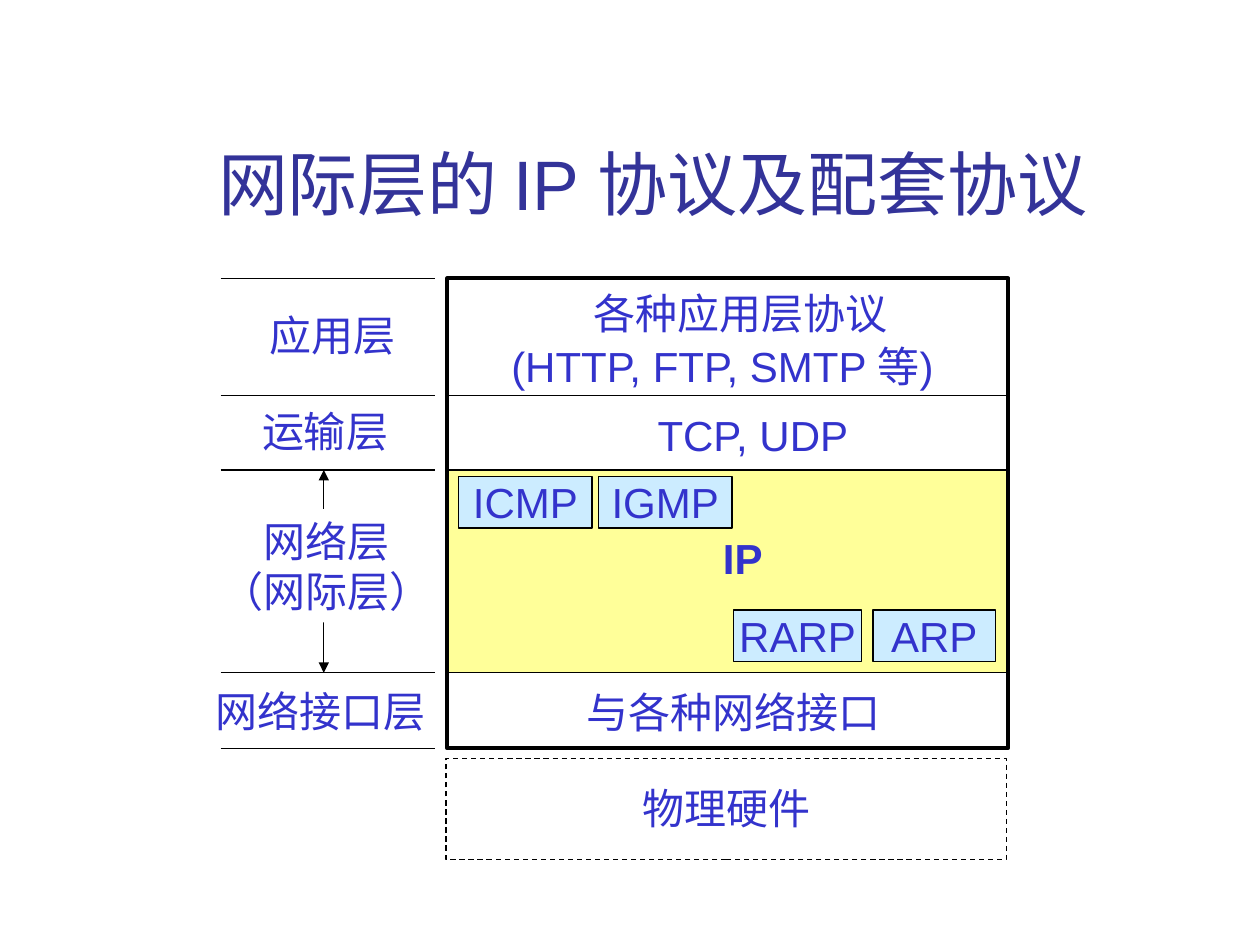
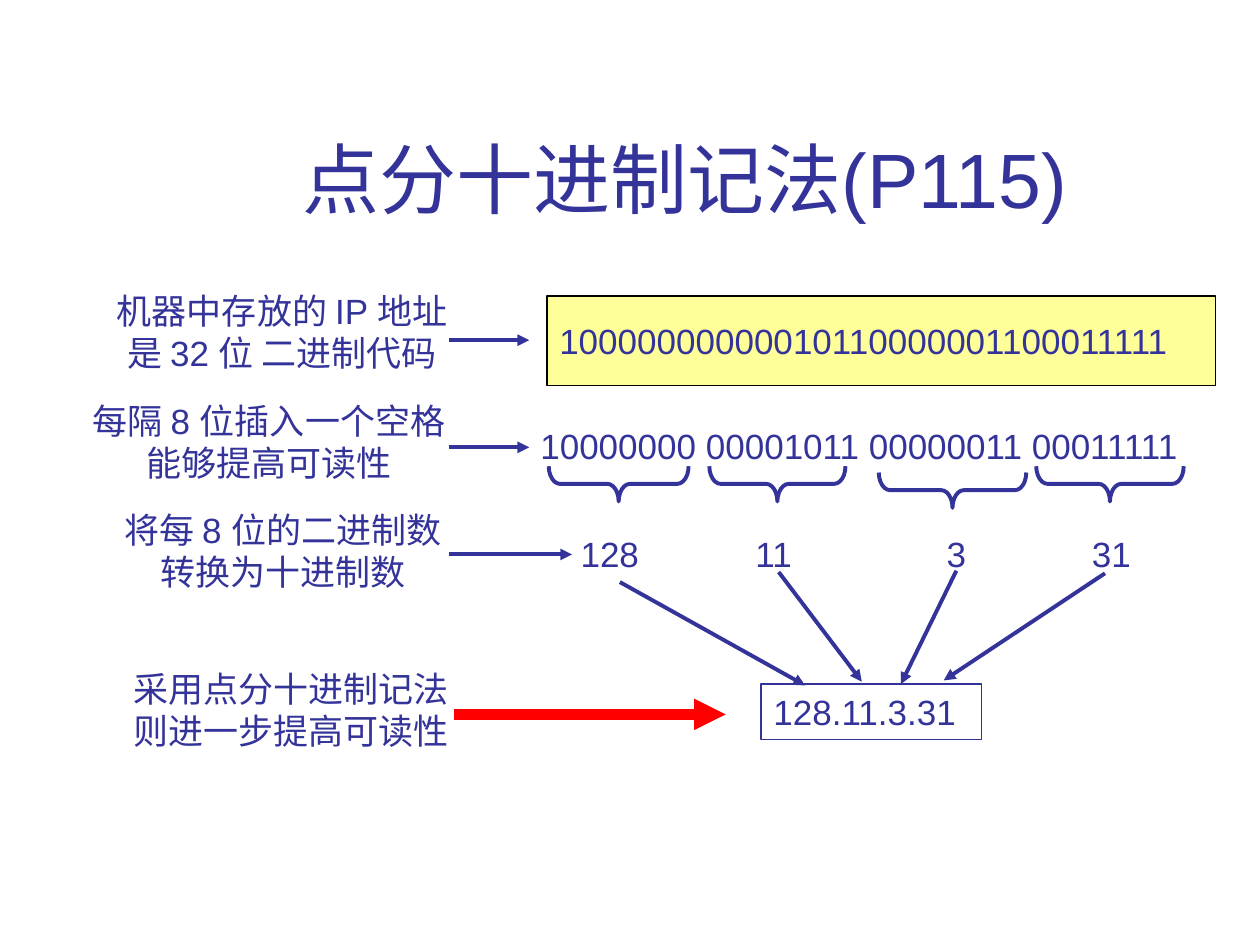
from dataclasses import dataclass

from lxml import etree
from pptx import Presentation
from pptx.dml.color import RGBColor
from pptx.enum.dml import MSO_LINE
from pptx.enum.shapes import MSO_CONNECTOR, MSO_SHAPE
from pptx.enum.text import MSO_ANCHOR, MSO_AUTO_SIZE, PP_ALIGN
from pptx.oxml.ns import qn
from pptx.util import Inches, Pt

RECT, BRACE = MSO_SHAPE.RECTANGLE, MSO_SHAPE.LEFT_BRACE
STRAIGHT, DASH = MSO_CONNECTOR.STRAIGHT, MSO_LINE.DASH
LEFT, CENTER = PP_ALIGN.LEFT, PP_ALIGN.CENTER
TOP, MIDDLE, BOTTOM = MSO_ANCHOR.TOP, MSO_ANCHOR.MIDDLE, MSO_ANCHOR.BOTTOM
GROW, FIXED = MSO_AUTO_SIZE.SHAPE_TO_FIT_TEXT, MSO_AUTO_SIZE.NONE
TITLE_ONLY = 5


@dataclass(frozen=True)
class Theme:
    """Colours, font, type sizes and line widths of the deck."""
    font: str = "Arial"
    navy: str = "333399"
    blue: str = "3333CC"
    black: str = "000000"
    white: str = "FFFFFF"
    red: str = "FF0000"
    yellow: str = "FFFF99"
    sky: str = "CCECFF"
    head: int = 40
    large: int = 44
    label: int = 24
    note: int = 20
    thin: float = 0.75
    bold: float = 2.25
    heavy: float = 6


T = Theme()


def rgb(code):
    """Turn a hex code into a colour."""
    return RGBColor.from_string(code)


def write(shape, text, size=T.note, color=T.navy, bold=False, align=CENTER,
          anchor=TOP, wrap=False, fit=FIXED):
    """Put formatted text into a shape, one paragraph for each line."""
    frame = shape.text_frame
    frame.text = text
    frame.word_wrap = wrap
    frame.auto_size = fit
    frame.vertical_anchor = anchor
    for para in frame.paragraphs:
        para.alignment = align
        for run in para.runs:
            font = run.font
            font.name, font.size, font.bold = T.font, Pt(size), bold
            font.color.rgb = rgb(color)


def note(slide, text, x, y, w, h, **form):
    """Add a text box that grows with its text."""
    box = slide.shapes.add_textbox(Inches(x), Inches(y), Inches(w), Inches(h))
    write(box, text, fit=GROW, **form)


def block(slide, x, y, w, h, kind=RECT, fill=None, line=None, width=T.thin):
    """Add a shape without shadow; no fill or line unless given."""
    shape = slide.shapes.add_shape(kind, Inches(x), Inches(y),
                                   Inches(w), Inches(h))
    shape.shadow.inherit = False
    if fill:
        shape.fill.solid()
        shape.fill.fore_color.rgb = rgb(fill)
    else:
        shape.fill.background()
    if line:
        shape.line.color.rgb = rgb(line)
        shape.line.width = Pt(width)
    else:
        shape.line.fill.background()
    return shape


def rule(slide, start, end, color=T.black, width=T.thin, ends=()):
    """Draw a straight line; ends may name headEnd and tailEnd."""
    line = slide.shapes.add_connector(STRAIGHT, *map(Inches, start + end))
    line.line.color.rgb = rgb(color)
    line.line.width = Pt(width)
    props = line._element.spPr
    for end_tag in ends:
        tip = etree.SubElement(props.find(qn("a:ln")), qn("a:" + end_tag))
        tip.set("type", "triangle")
    etree.SubElement(props, qn("a:effectLst"))


def arrow(slide, start, end, color=T.navy, width=T.bold):
    """Draw a line with an arrowhead at its end."""
    rule(slide, start, end, color, width, ["tailEnd"])


def start_slide(deck, text, width, size):
    """Add a slide and set its title."""
    slide = deck.slides.add_slide(deck.slide_layouts[TITLE_ONLY])
    title = slide.shapes.title
    title.left, title.top = Inches(1.26), Inches(0.23)
    title.width, title.height = Inches(width), Inches(1.6)
    write(title, text, size=size, anchor=BOTTOM, wrap=True)
    return slide


def draw_stack(slide, x, y, w, rows):
    """Draw the protocol stack, with a row between each two offsets."""
    net, base, foot = rows[2:]
    block(slide, x, y + net, w, base - net, fill=T.yellow)
    block(slide, x, y, w, foot, line=T.black, width=T.bold)
    for row in rows[1:-1]:
        rule(slide, (x, y + row), (x + w, y + row))
    form = dict(size=T.label, color=T.blue)
    for text, dx, dy, wide in (
            ("各种应用层协议", 1.06, 0.02, 2.53),
            ("(HTTP, FTP, SMTP 等)", 0.41, 0.44, 3.8),
            ("TCP, UDP", 1.57, 0.99, 1.75),
            ("与各种网络接口", 1.01, 3.19, 2.53)):
        note(slide, text, x + dx, y + dy, wide, 0.5, align=LEFT, **form)
    note(slide, "IP", x + 1.99, y + 1.97, 0.71, 0.5, bold=True, **form)
    for text, dx, dy, wide in (
            ("ICMP", 0.09, 1.57, 1.06), ("IGMP", 1.2, 1.57, 1.06),
            ("RARP", 2.27, 2.63, 1.02), ("ARP", 3.38, 2.63, 0.97)):
        chip = block(slide, x + dx, y + dy, wide, 0.41,
                     fill=T.sky, line=T.black)
        write(chip, text, anchor=MIDDLE, **form)


def draw_names(slide, x, y, w, rows):
    """Draw the layer names between the rules left of the stack."""
    for row in rows:
        rule(slide, (x, y + row), (x + w, y + row))
    mid = x + 0.82
    rule(slide, (mid, y + rows[2]), (mid, y + rows[3]),
         ends=["headEnd", "tailEnd"])
    form = dict(size=T.label, color=T.blue)
    for text, dx, dy, wide in (("应用层", 0.24, 0.2, 1.3),
                               ("运输层", 0.18, 0.96, 1.3),
                               ("网络接口层", -0.23, 3.18, 2.04)):
        note(slide, text, x + dx, y + dy, wide, 0.5, **form)
    name = block(slide, x - 0.09, y + 1.83, 1.86, 0.9, fill=T.white)
    write(name, "网络层\n（网际层）", **form)


def draw_base(slide, x, y, w, h):
    """Draw the dashed box of the hardware under the stack."""
    box = block(slide, x, y, w, h, fill=T.white, line=T.black)
    box.line.dash_style = DASH
    note(slide, "物理硬件", x + 1.41, y + 0.14, 1.63, 0.5,
         size=T.label, color=T.blue)


def draw_steps(slide, x, y):
    """Draw the four explained steps, each with its arrow."""
    for text, dx, dy, wide in (
            ("机器中存放的 IP 地址\n是 32 位 二进制代码", 0.14, 0, 3.06),
            ("每隔 8 位插入一个空格\n能够提高可读性", -0.05, 0.87, 3.23),
            ("将每 8 位的二进制数\n转换为十进制数", 0.15, 1.74, 3.05),
            ("采用点分十进制记法\n则进一步提高可读性", 0.29, 3, 2.9)):
        note(slide, text, x + dx, y + dy, wide, 0.77)
    tail = x + 2.99
    for dy, reach in ((0.45, 0.64), (1.3, 0.64), (2.15, 0.98)):
        arrow(slide, (tail, y + dy), (tail + reach, y + dy))
    arrow(slide, (x + 3.03, y + 3.42), (x + 5.19, y + 3.42), T.red, T.heavy)


def draw_bits(slide, x, y, w):
    """Draw the 32 bits, then the same bits split into bytes."""
    bar = block(slide, x, y, w, 0.71, fill=T.yellow, line=T.black)
    write(bar, "10000000000010110000001100011111", align=LEFT, anchor=MIDDLE)
    note(slide, "10000000 00001011 00000011 00011111",
         x - 0.15, y + 0.97, 5.46, 0.44, align=LEFT)


def draw_brace(slide, mid, y, span):
    """Draw a brace below a byte, its tip pointing down."""
    deep = 0.28
    brace = block(slide, mid - deep / 2, y + (deep - span) / 2, deep, span,
                  kind=BRACE, line=T.navy, width=T.bold)
    brace.adjustments[0] = 0.32
    brace.rotation = 270


def draw_merge(slide, x, y):
    """Draw braces and numbers of the bytes, led into the dotted address."""
    for text, brace, drop, span, mid, start, end in (
            ("128", 0.56, 0, 1.11, 0.49, (0.57, 0.92), (2.04, 1.74)),
            ("11", 1.82, 0, 1.08, 1.79, (1.83, 0.84), (2.49, 1.71)),
            ("3", 3.21, 0.05, 1.17, 3.24, (3.24, 0.83), (2.8, 1.73)),
            ("31", 4.46, 0, 1.17, 4.47, (4.42, 0.85), (3.14, 1.7))):
        draw_brace(slide, x + brace, y + drop, span)
        note(slide, text, x + mid - 0.4, y + 0.48, 0.8, 0.44)
        arrow(slide, (x + start[0], y + start[1]), (x + end[0], y + end[1]))
    box = block(slide, x + 1.69, y + 1.73, 1.75, 0.44, line=T.navy)
    write(box, "128.11.3.31", align=LEFT, anchor=MIDDLE)


def build():
    """Build and save the deck."""
    deck = Presentation()
    deck.slide_width, deck.slide_height = Inches(10), Inches(7.5)

    rows = [0, 0.93, 1.52, 3.13, 3.73]
    slide = start_slide(deck, "网际层的 IP 协议及配套协议", 7.84, T.head)
    draw_stack(slide, 3.55, 2.21, 4.45, rows)
    draw_names(slide, 1.75, 2.21, 1.7, rows)
    draw_base(slide, 3.54, 6.02, 4.45, 0.8)

    slide = start_slide(deck, "点分十进制记法(P115) ", 8.52, T.large)
    draw_bits(slide, 4.34, 2.35, 5.31)
    draw_steps(slide, 0.57, 2.25)
    draw_merge(slide, 4.35, 3.7)
    deck.save("out.pptx")


build()
